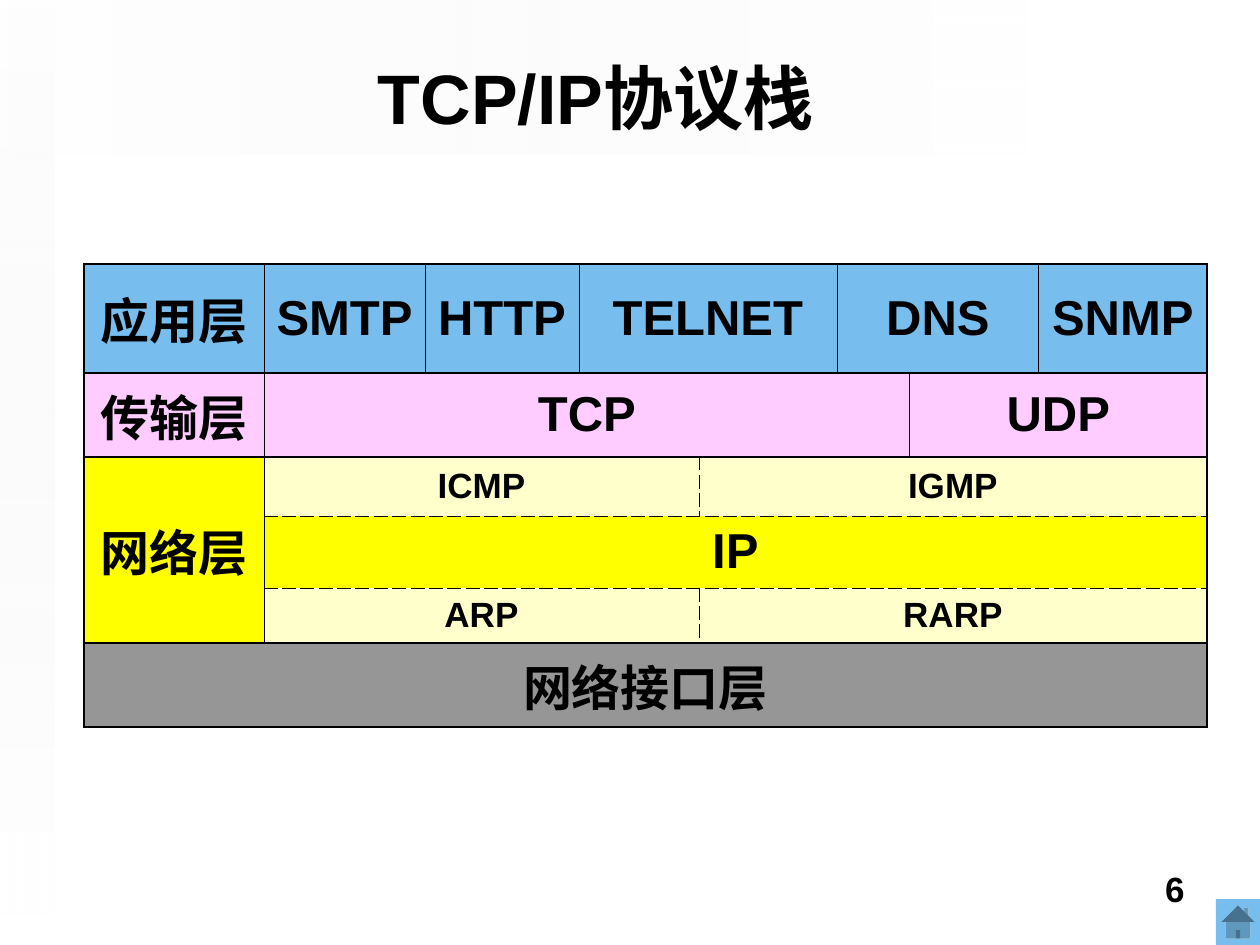
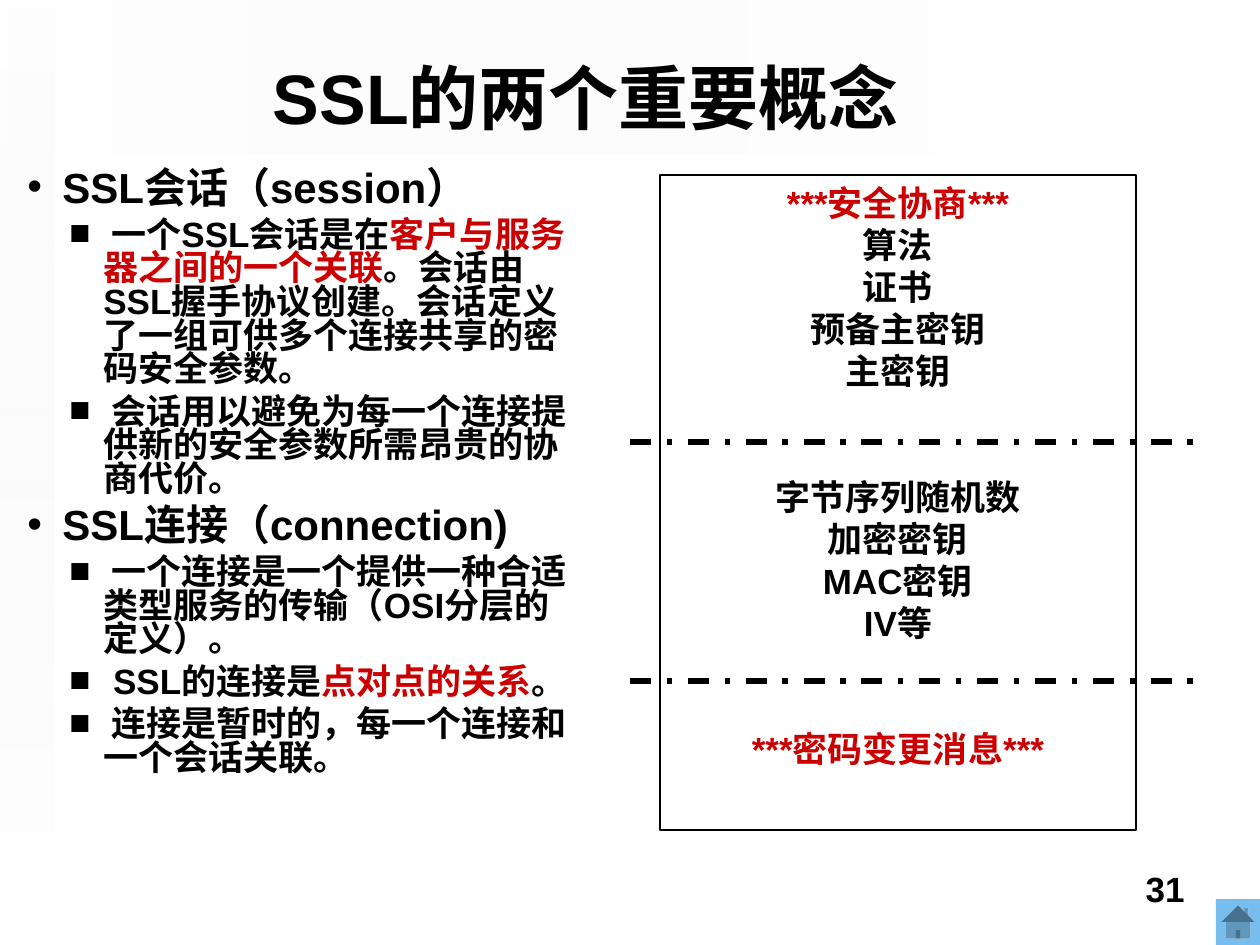
from lxml.etree import SubElement
from pptx import Presentation
from pptx.dml.color import RGBColor
from pptx.enum.dml import MSO_LINE
from pptx.enum.shapes import MSO_CONNECTOR, MSO_SHAPE
from pptx.enum.text import MSO_ANCHOR, PP_ALIGN
from pptx.oxml.ns import qn
from pptx.util import Emu, Pt

BLACK = RGBColor(0x00, 0x00, 0x00)
WHITE = RGBColor(0xFF, 0xFF, 0xFF)
RED = RGBColor(0xCC, 0x00, 0x00)
BLUE = RGBColor(0x77, 0xBD, 0xED)
PINK = RGBColor(0xFF, 0xCC, 0xFF)
YELLOW = RGBColor(0xFF, 0xFF, 0x00)
PALE = RGBColor(0xFF, 0xFF, 0xCC)
GRAY = RGBColor(0x96, 0x96, 0x96)
MIST = RGBColor(0xEA, 0xEA, 0xEA)
FONT = "Arial"

BANDS = [((0, 0, 1027, 155), 0, 0, 49), ((0, 0, 54, 915), 180, 90, 65)]
HOME_BUTTON = (1216, 899, 44, 46)
NUMBER_BOX = (903, 861, 294, 66)

STACK_AT = (84, 264)
STACK_COLS = [180, 161, 154, 120, 138, 73, 129, 168]
STACK_ROWS = [109, 84, 59, 72, 55, 84]
STACK_CELLS = [
    (0, 0, 1, 1, "应用层", 28, BLUE),
    (0, 1, 1, 1, "SMTP", 28, BLUE),
    (0, 2, 1, 1, "HTTP", 28, BLUE),
    (0, 3, 1, 2, "TELNET", 28, BLUE),
    (0, 5, 1, 2, "DNS", 28, BLUE),
    (0, 7, 1, 1, "SNMP", 28, BLUE),
    (1, 0, 1, 1, "传输层", 28, PINK),
    (1, 1, 1, 5, "TCP", 28, PINK),
    (1, 6, 1, 2, "UDP", 28, PINK),
    (2, 0, 3, 1, "网络层", 28, YELLOW),
    (2, 1, 1, 3, "ICMP", 20, PALE),
    (2, 4, 1, 4, "IGMP", 20, PALE),
    (3, 1, 1, 7, "IP", 28, YELLOW),
    (4, 1, 1, 3, "ARP", 20, PALE),
    (4, 4, 1, 4, "RARP", 20, PALE),
    (5, 0, 1, 8, "网络接口层", 28, GRAY),
]
CELL_MARGIN = 10
DASHED_ROW_EDGES = (3, 4)
DASHED_COL_EDGE = 4
THICK, THIN, DASHED = (1.08, "solid"), (0.45, "solid"), (0.45, "dash")
NO_STYLE = "{2D5ABB26-0587-4C30-8999-92F81FD0307C}"

CONCEPTS_BOX = (0, 165, 590, 674)
CONCEPTS = [
    (0, [("SSL会话（session）", BLACK)]),
    (1, [(" 一个SSL会话是在", BLACK), ("客户与服务器之间的一个关联", RED),
         ("。会话由SSL握手协议创建。会话定义了一组可供多个连接共享的密码安全参数。", BLACK)]),
    (1, [(" 会话用以避免为每一个连接提供新的安全参数所需昂贵的协商代价。", BLACK)]),
    (0, [("SSL连接（connection)", BLACK)]),
    (1, [(" 一个连接是一个提供一种合适类型服务的传输（OSI分层的定义）。", BLACK)]),
    (1, [(" SSL的连接是", BLACK), ("点对点的关系", RED), ("。", BLACK)]),
    (1, [(" 连接是暂时的，每一个连接和一个会话关联。", BLACK)]),
]
LEVELS = [
    dict(size=24, left=50, hang=35, before=6, mark="•"),
    dict(size=20, left=91, hang=34, before=5, mark="■"),
]

PHASE_BOX = (660, 175, 476, 655)
PHASES = [
    [("***安全协商***", RED), ("算法", BLACK), ("证书", BLACK),
     ("预备主密钥", BLACK), ("主密钥", BLACK)],
    [("字节序列随机数", BLACK), ("加密密钥", BLACK), ("MAC密钥", BLACK), ("IV等", BLACK)],
    [("***密码变更消息***", RED)],
]
PHASE_GAP = 48
DIVIDER_X = (630, 1206)
DIVIDER_YS = [442, 681]


def px(n):
    return Emu(round(n * 914400 / 126))


def add_run(p, text, size, color=BLACK):
    r = p.add_run()
    r.text = text
    f = r.font
    f.name, f.size, f.bold = FONT, Pt(size), True
    f.color.rgb = color


def add_box(s, box):
    tf = s.shapes.add_textbox(*map(px, box)).text_frame
    tf.word_wrap = True
    return tf


def add_shape(s, kind, box):
    sp = s.shapes.add_shape(kind, *map(px, box))
    sp.shadow.inherit = False
    sp.line.fill.background()
    return sp


def add_band(s, box, rotation, angle, opacity):
    sp = add_shape(s, MSO_SHAPE.RECTANGLE, box)
    sp.rotation = rotation
    fill = sp.fill
    fill.gradient()
    fill.gradient_angle = angle
    for stop, color in zip(fill.gradient_stops, (MIST, WHITE)):
        stop.color.rgb = color
    for clr, alpha in zip(sp._element.spPr.iter(qn("a:srgbClr")), (0, opacity)):
        SubElement(clr, qn("a:alpha"), val=str(alpha * 1000))


def new_slide(prs, title, title_box, number):
    s = prs.slides.add_slide(prs.slide_layouts[6])
    for band in BANDS:
        add_band(s, *band)
    home = add_shape(s, MSO_SHAPE.ACTION_BUTTON_HOME, HOME_BUTTON)
    home.fill.solid()
    home.fill.fore_color.rgb = BLUE
    for box, text, size, align, anchor in [
        (NUMBER_BOX, number, 20, PP_ALIGN.RIGHT, MSO_ANCHOR.TOP),
        (title_box, title, 40, PP_ALIGN.CENTER, MSO_ANCHOR.MIDDLE),
    ]:
        tf = add_box(s, box)
        tf.vertical_anchor = anchor
        p = tf.paragraphs[0]
        p.alignment = align
        add_run(p, text, size)
    return s


def col_edge(i):
    if i in (0, len(STACK_COLS)):
        return THICK
    return DASHED if i == DASHED_COL_EDGE else THIN


def row_edge(i):
    return DASHED if i in DASHED_ROW_EDGES else THICK


def style_cell(cell, fill, edges):
    tcPr = cell._tc.get_or_add_tcPr()
    for side, (width, dash) in zip("LRTB", edges):
        ln = SubElement(tcPr, qn(f"a:ln{side}"), w=str(Pt(width)))
        SubElement(SubElement(ln, qn("a:solidFill")), qn("a:srgbClr"), val=str(BLACK))
        SubElement(ln, qn("a:prstDash"), val=dash)
    cell.fill.solid()
    cell.fill.fore_color.rgb = fill


def add_stack(s):
    box = (*STACK_AT, sum(STACK_COLS), sum(STACK_ROWS))
    table = s.shapes.add_table(len(STACK_ROWS), len(STACK_COLS), *map(px, box)).table
    table.first_row = table.horz_banding = False
    table._tbl.tblPr.find(qn("a:tableStyleId")).text = NO_STYLE
    for col, width in zip(table.columns, STACK_COLS):
        col.width = px(width)
    for row, height in zip(table.rows, STACK_ROWS):
        row.height = px(height)
    for r, c, rows, cols, text, size, fill in STACK_CELLS:
        cell = table.cell(r, c)
        if rows * cols > 1:
            cell.merge(table.cell(r + rows - 1, c + cols - 1))
        edges = col_edge(c), col_edge(c + cols), row_edge(r), row_edge(r + rows)
        for i in range(r, r + rows):
            for j in range(c, c + cols):
                style_cell(table.cell(i, j), fill, edges)
        cell.vertical_anchor = MSO_ANCHOR.MIDDLE
        cell.margin_left = cell.margin_right = px(CELL_MARGIN)
        p = cell.text_frame.paragraphs[0]
        p.alignment = PP_ALIGN.CENTER
        add_run(p, text, size)


def add_bullet(p, mark, left, hang):
    pPr = p._p.get_or_add_pPr()
    pPr.set("marL", str(px(left)))
    pPr.set("indent", str(-px(hang)))
    SubElement(SubElement(pPr, qn("a:buClr")), qn("a:srgbClr"), val=str(BLACK))
    SubElement(pPr, qn("a:buFont"), typeface=FONT)
    SubElement(pPr, qn("a:buChar"), char=mark)


def add_concepts(s):
    tf = add_box(s, CONCEPTS_BOX)
    for i, (level, runs) in enumerate(CONCEPTS):
        look = LEVELS[level]
        p = tf.add_paragraph() if i else tf.paragraphs[0]
        p.level = level
        add_bullet(p, look["mark"], look["left"], look["hang"])
        p.line_spacing = 0.8
        if i:
            p.space_before = Pt(look["before"])
        for text, color in runs:
            add_run(p, text, look["size"], color)


def add_phases(s):
    sp = add_shape(s, MSO_SHAPE.RECTANGLE, PHASE_BOX)
    sp.fill.solid()
    sp.fill.fore_color.rgb = WHITE
    sp.line.color.rgb = BLACK
    sp.line.width = Pt(0.7)
    tf = sp.text_frame
    tf.word_wrap = False
    tf.vertical_anchor = MSO_ANCHOR.TOP
    for i, phase in enumerate(PHASES):
        for j, (text, color) in enumerate(phase):
            p = tf.add_paragraph() if i or j else tf.paragraphs[0]
            p.alignment = PP_ALIGN.CENTER
            if i and not j:
                p.space_before = Pt(PHASE_GAP)
            add_run(p, text, 20, color)
    left, right = DIVIDER_X
    for y in DIVIDER_YS:
        line = s.shapes.add_connector(MSO_CONNECTOR.STRAIGHT, px(left), px(y), px(right), px(y))
        line.line.color.rgb = BLACK
        line.line.width = Pt(3)
        line.line.dash_style = MSO_LINE.DASH_DOT
        SubElement(line._element.spPr, qn("a:effectLst"))


def main():
    prs = Presentation()
    prs.slide_width, prs.slide_height = px(1260), px(945)
    add_stack(new_slide(prs, "TCP/IP协议栈", (55, 35, 1081, 122), "6"))
    s = new_slide(prs, "SSL的两个重要概念", (35, 35, 1101, 122), "31")
    add_concepts(s)
    add_phases(s)
    prs.save("out.pptx")


if __name__ == "__main__":
    main()
